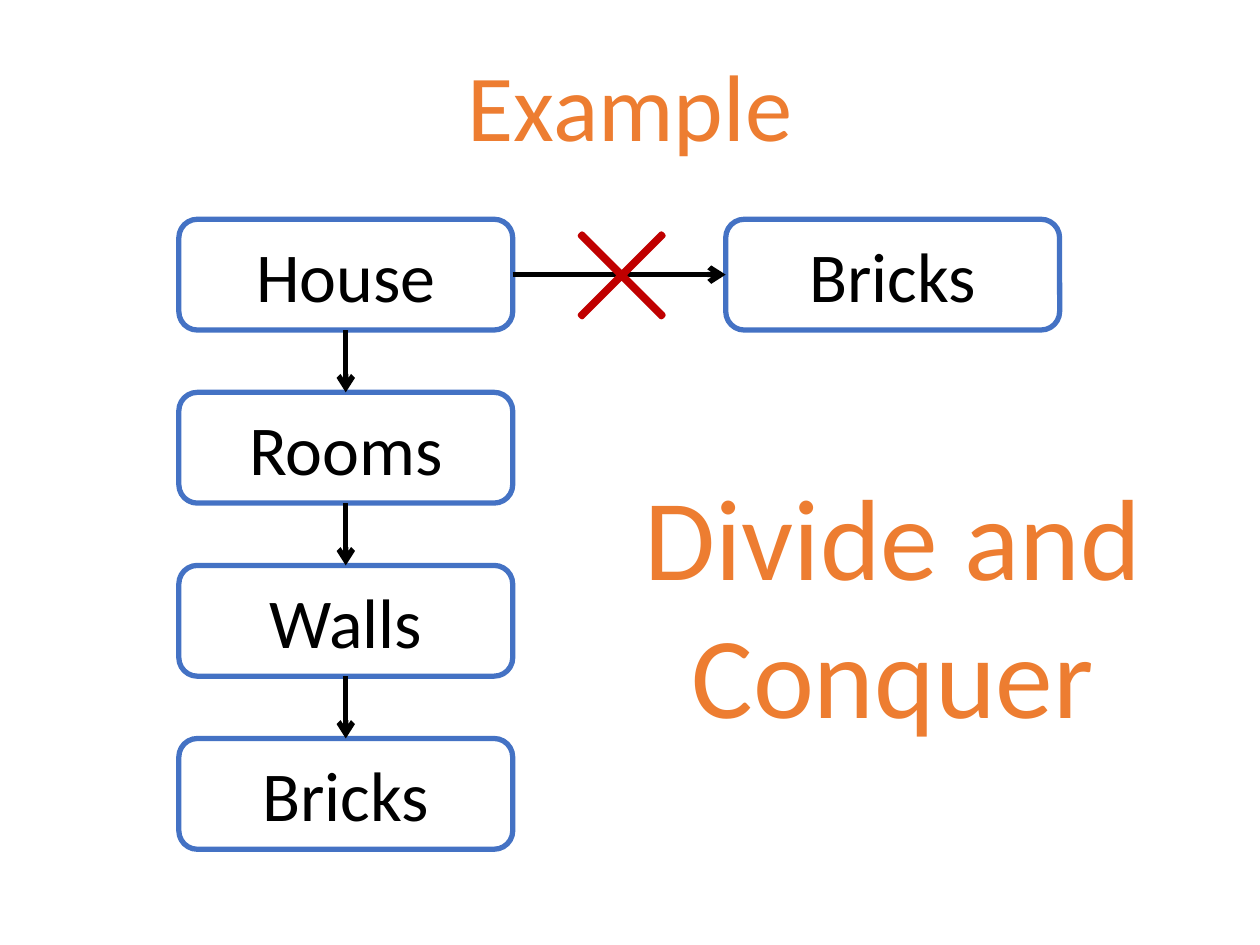
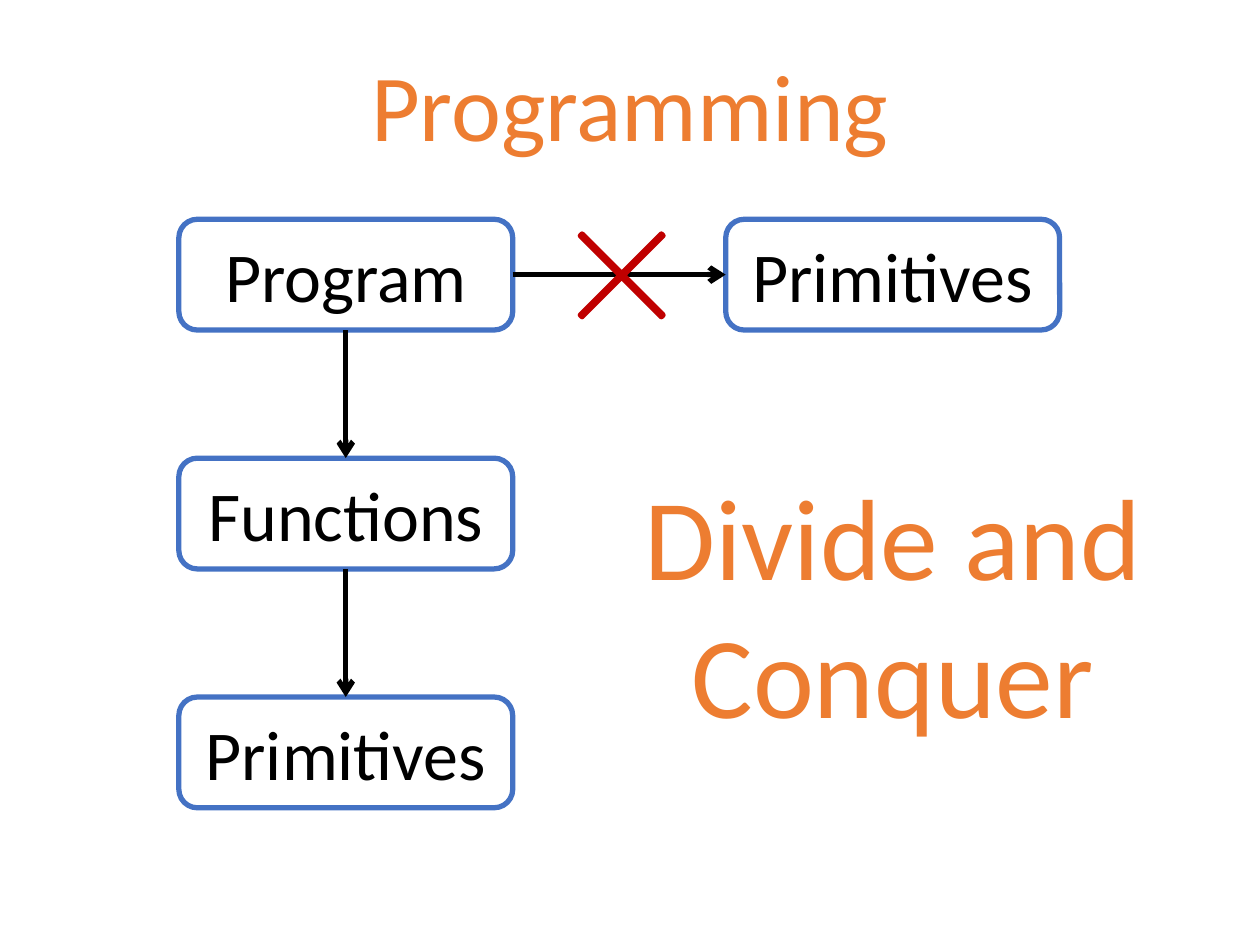
"""Build two slides that contrast a direct jump with a divide and conquer chain."""
import pptx
import pptx.dml.color
import pptx.enum.dml
import pptx.enum.shapes
import pptx.enum.text
import pptx.oxml
import pptx.oxml.ns
import pptx.util

SLIDES = [
    {"title": "Example", "steps": ["House", "Rooms", "Walls", "Bricks"], "pitch": 98.9},
    {"title": "Programming", "steps": ["Program", "Functions", "Primitives"], "pitch": 136.5},
]
SLOGAN = "Divide and Conquer"

Pt = pptx.util.Pt
RGBColor = pptx.dml.color.RGBColor
ORANGE = RGBColor(0xED, 0x7D, 0x31)
BLUE = RGBColor(0x44, 0x72, 0xC4)
RED = RGBColor(0xC0, 0x00, 0x00)
BLACK = RGBColor(0x00, 0x00, 0x00)

FONT = "Calibri"
LINE_WIDTH = 3
SLIDE_WIDTH, SLIDE_HEIGHT = 720, 540
TITLE_AREA = (49.5, 28.75, 621, 69)
SLOGAN_AREA = (352.8, 262.1, 314.6, 167)
CROSS_AREA = (322.5, 124.6, 65.5, 65.5)
CROSS_ARM = 0.489
CHAIN_LEFT, GOAL_LEFT, FIRST_TOP = 102.2, 414.7, 125.3
BOX_WIDTH, BOX_HEIGHT = 190.8, 63.3
TOP_SIDE, LEFT_SIDE, BOTTOM_SIDE, RIGHT_SIDE = range(4)

MIDDLE = pptx.enum.text.MSO_ANCHOR.MIDDLE
CENTER = pptx.enum.text.PP_ALIGN.CENTER
TITLE_STYLE = {"size": Pt(54), "color": ORANGE}
BOX_STYLE = {"size": Pt(40), "color": BLACK}
SLOGAN_STYLE = {"size": Pt(66), "color": ORANGE}
TITLE_FRAME = {"vertical_anchor": MIDDLE}
BOX_FRAME = {"vertical_anchor": MIDDLE}
SLOGAN_FRAME = {"auto_size": pptx.enum.text.MSO_AUTO_SIZE.SHAPE_TO_FIT_TEXT}


def set_attributes(target, values):
    for name, value in values.items():
        setattr(target, name, value)


def points(area):
    return [Pt(length) for length in area]


def write_text(shape, text, style, frame_values, line_spacing=1.0):
    frame = shape.text_frame
    set_attributes(frame, {"word_wrap": True, **frame_values})
    paragraph = frame.paragraphs[0]
    set_attributes(paragraph, {"alignment": CENTER, "line_spacing": line_spacing})
    run = paragraph.add_run()
    run.text = text
    set_attributes(run.font, {"name": FONT, "size": style["size"]})
    run.font.color.rgb = style["color"]


def add_outline(slide, kind, area, color):
    shape = slide.shapes.add_shape(kind, *points(area))
    shape.shadow.inherit = False
    shape.fill.background()
    shape.line.color.rgb = color
    shape.line.width = Pt(LINE_WIDTH)
    return shape


def add_box(slide, text, left, top):
    kind = pptx.enum.shapes.MSO_SHAPE.ROUNDED_RECTANGLE
    box = add_outline(slide, kind, (left, top, BOX_WIDTH, BOX_HEIGHT), BLUE)
    write_text(box, text, BOX_STYLE, BOX_FRAME)
    return box


def add_arrow(slide, source, source_side, target, target_side):
    kind = pptx.enum.shapes.MSO_CONNECTOR.STRAIGHT
    arrow = slide.shapes.add_connector(kind, 0, 0, 0, 0)
    arrow.begin_connect(source, source_side)
    arrow.end_connect(target, target_side)
    arrow.line.color.rgb = BLACK
    arrow.line.width = Pt(LINE_WIDTH)
    head = pptx.oxml.parse_xml(f'<a:tailEnd {pptx.oxml.ns.nsdecls("a")} type="arrow"/>')
    arrow.line._get_or_add_ln().append(head)
    effects = pptx.oxml.parse_xml(f'<a:effectLst {pptx.oxml.ns.nsdecls("a")}/>')
    arrow._element.spPr.append(effects)


def add_cross(slide):
    cross = add_outline(slide, pptx.enum.shapes.MSO_SHAPE.CROSS, CROSS_AREA, RED)
    cross.adjustments[0] = CROSS_ARM
    cross.rotation = 315


def build_slide(presentation, content):
    slide = presentation.slides.add_slide(presentation.slide_layouts[6])
    title = slide.shapes.add_textbox(*points(TITLE_AREA))
    write_text(title, content["title"], TITLE_STYLE, TITLE_FRAME, 0.9)
    steps = content["steps"]
    chain = [
        add_box(slide, step, CHAIN_LEFT, FIRST_TOP + index * content["pitch"])
        for index, step in enumerate(steps)
    ]
    goal = add_box(slide, steps[-1], GOAL_LEFT, FIRST_TOP)
    add_arrow(slide, chain[0], RIGHT_SIDE, goal, LEFT_SIDE)
    for upper, lower in zip(chain, chain[1:]):
        add_arrow(slide, upper, BOTTOM_SIDE, lower, TOP_SIDE)
    add_cross(slide)
    slogan = slide.shapes.add_textbox(*points(SLOGAN_AREA))
    write_text(slogan, SLOGAN, SLOGAN_STYLE, SLOGAN_FRAME)


def main():
    presentation = pptx.Presentation()
    size = {"slide_width": Pt(SLIDE_WIDTH), "slide_height": Pt(SLIDE_HEIGHT)}
    set_attributes(presentation, size)
    for content in SLIDES:
        build_slide(presentation, content)
    presentation.save("out.pptx")


if __name__ == "__main__":
    main()
